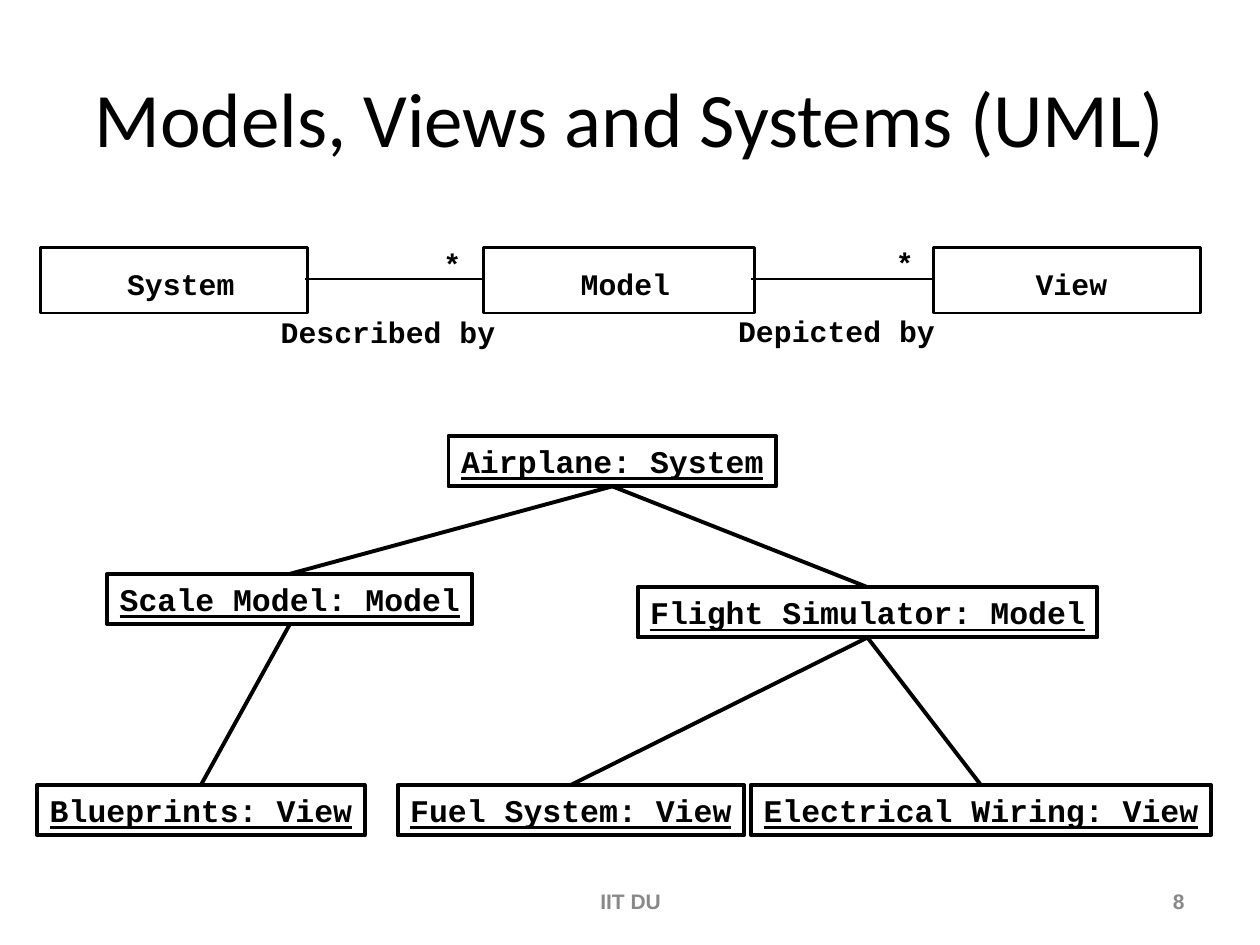
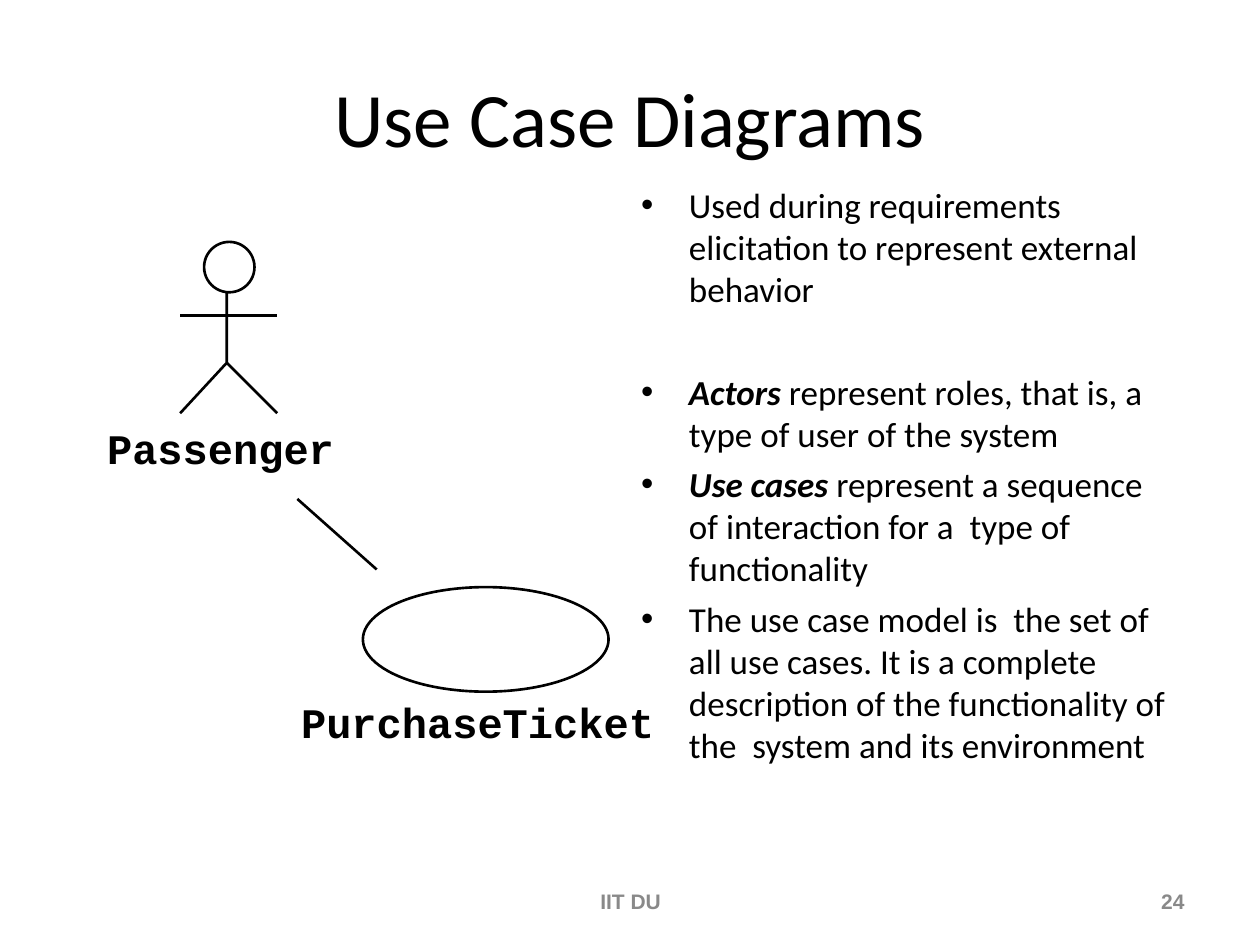
from lxml.etree import SubElement
from pptx import Presentation
from pptx.dml.color import RGBColor
from pptx.enum.shapes import MSO_CONNECTOR, MSO_SHAPE
from pptx.enum.text import MSO_ANCHOR, MSO_AUTO_SIZE, PP_ALIGN
from pptx.oxml.ns import qn
from pptx.util import Inches, Pt

BLACK = RGBColor(0x00, 0x00, 0x00)
WHITE = RGBColor(0xFF, 0xFF, 0xFF)
GREY = RGBColor(0x89, 0x89, 0x89)
TITLE_FONT = "Calibri"
CODE_FONT = "Courier New"
FOOTER_FONT = "Arial"

# Square grid: 100 columns by 75 rows
WIDTH, HEIGHT = Inches(10), Inches(7.5)
CELL = WIDTH / 100
SLACK = 0.3  # spare columns on each side that keep a label on one line


def grid(*cells):
    return [round(cell * CELL) for cell in cells]


def code_size(text, size):
    """Columns and rows taken by one line of monospaced text."""
    cells_per_point = Pt(1) / CELL
    return len(text) * size * 0.6 * cells_per_point, size * 1.2 * cells_per_point


def set_font(para, name, size, color=BLACK, bold=False, underline=False):
    font = para.font
    font.name, font.size, font.bold = name, Pt(size), bold
    font.underline = underline
    font.color.rgb = color


# Shared slide parts
def add_page(deck, title, number):
    page = deck.slides.add_slide(deck.slide_layouts[5])
    box = page.shapes.title
    box.left, box.top, box.width, box.height = grid(5, 3, 90, 12.5)
    box.text_frame.text = title
    box.text_frame.vertical_anchor = MSO_ANCHOR.MIDDLE
    para = box.text_frame.paragraphs[0]
    para.alignment = PP_ALIGN.CENTER
    set_font(para, TITLE_FONT, 44)
    add_footer(page, str(number), 71.7, 23.3, PP_ALIGN.RIGHT)
    add_footer(page, "IIT DU", 34.2, 31.7, PP_ALIGN.CENTER)
    return page


def add_footer(page, text, left, width, alignment):
    frame = page.shapes.add_textbox(*grid(left, 69.5, width, 4)).text_frame
    frame.word_wrap = True
    frame.vertical_anchor = MSO_ANCHOR.MIDDLE
    frame.text = text
    para = frame.paragraphs[0]
    para.alignment = alignment
    set_font(para, FOOTER_FONT, 12, GREY, bold=True)


# Diagram elements
def add_outline(shapes, kind, area, weight, fill=None):
    shape = shapes.add_shape(kind, *grid(*area))
    shape.shadow.inherit = False
    if fill is None:
        shape.fill.background()
    else:
        shape.fill.solid()
        shape.fill.fore_color.rgb = fill
    shape.line.color.rgb = BLACK
    shape.line.width = Pt(weight)
    return shape


def add_line(shapes, start, end, weight):
    line = shapes.add_connector(MSO_CONNECTOR.STRAIGHT, *grid(*start, *end))
    line.line.color.rgb = BLACK
    line.line.width = Pt(weight)
    SubElement(line._element.spPr, qn("a:effectLst"))
    return line


def write_code(shape, text, size, underline=False):
    frame = shape.text_frame
    frame.word_wrap = False
    frame.auto_size = MSO_AUTO_SIZE.SHAPE_TO_FIT_TEXT
    frame.text = text
    para = frame.paragraphs[0]
    para.alignment = PP_ALIGN.CENTER
    set_font(para, CODE_FONT, size, bold=True, underline=underline)
    return frame


def add_label(shapes, text, left, top, size):
    width, height = code_size(text, size)
    area = (left - SLACK, top, width + 2 * SLACK, height)
    frame = write_code(shapes.add_textbox(*grid(*area)), text, size)
    frame.margin_left = frame.margin_right = 0
    frame.margin_top = frame.margin_bottom = 0


def add_instance(page, text, left, top):
    width, height = code_size(text, 18)
    area = (left, top, width + 2, height + 1)
    box = add_outline(page.shapes, MSO_SHAPE.RECTANGLE, area, 2.25, WHITE)
    frame = write_code(box, text, 18, underline=True)
    frame.vertical_anchor = MSO_ANCHOR.MIDDLE
    frame.margin_left = frame.margin_right = grid(1 - SLACK)[0]
    return box


def add_actor(page, name):
    shapes = page.shapes.add_group_shape().shapes
    hip, left_foot, right_foot = (18, 28.8), (14.3, 32.8), (22, 32.8)
    outline = shapes.build_freeform(*grid(18, 22))
    outline.add_line_segments([grid(*hip), grid(*left_foot)], close=False)
    body = outline.convert_to_shape()
    body.shadow.inherit = False
    body.fill.background()
    body.line.color.rgb = BLACK
    body.line.width = Pt(1.5)
    add_line(shapes, hip, right_foot, 1.5)
    add_line(shapes, (14.3, 25.05), (22, 25.05), 1.5)
    add_outline(shapes, MSO_SHAPE.OVAL, (16.2, 19.2, 4, 4), 1.5, WHITE)
    add_label(shapes, name, 8.5, 33.5, 24)


def add_use_case(page, name):
    shapes = page.shapes.add_group_shape().shapes
    add_outline(shapes, MSO_SHAPE.OVAL, (28.8, 46.6, 19.5, 8.3), 1.5)
    add_label(shapes, name, 23.9, 55.3, 24)


def add_bullets(page, area, items):
    """Each item is a gap before it in points, an emphasised start and the rest."""
    frame = page.shapes.add_textbox(*grid(*area)).text_frame
    frame.word_wrap = True
    for index, (gap, term, text) in enumerate(items):
        para = frame.paragraphs[0] if index == 0 else frame.add_paragraph()
        para.space_before = Pt(gap)
        properties = para._p.get_or_add_pPr()
        properties.set("marL", str(Inches(0.38)))
        properties.set("indent", str(-Inches(0.38)))
        SubElement(properties, qn("a:buFont"), typeface=FOOTER_FONT)
        SubElement(properties, qn("a:buChar"), char="•")
        set_font(para, TITLE_FONT, 20)
        if term:
            span = para.add_run()
            span.text = term
            span.font.bold = span.font.italic = True
        para.add_run().text = text


# Slides
def build_models_page(deck):
    page = add_page(deck, "Models, Views and Systems (UML)", 8)
    shapes = page.shapes

    # Class diagram
    for name, left, width, text_left in [
        ("System", 3.2, 21.2, 10.1),
        ("Model", 38.4, 21.5, 46.1),
        ("View", 74.1, 21.2, 82.2),
    ]:
        add_outline(shapes, MSO_SHAPE.RECTANGLE, (left, 19.65, width, 5.2), 1.62)
        add_label(shapes, name, text_left, 21.1, 17)
    for name, start, end, name_left, name_top, star_left, star_top in [
        ("Described by", 24.2, 38.4, 22.3, 24.9, 35.2, 19.5),
        ("Depicted by", 59.6, 74.1, 58.6, 24.8, 71.1, 19.4),
    ]:
        add_line(shapes, (start, 22.15), (end, 22.15), 1.62)
        add_label(shapes, name, name_left, name_top, 17)
        add_label(shapes, "*", star_left, star_top, 17)

    # Instance tree
    airplane = add_instance(page, "Airplane: System", 35.6, 34.6)
    scale_model = add_instance(page, "Scale Model: Model", 8.5, 45.55)
    simulator = add_instance(page, "Flight Simulator: Model", 50.6, 46.6)
    blueprints, fuel, wiring = [
        add_instance(page, text, left, 62.3)
        for text, left in [
            ("Blueprints: View", 2.95),
            ("Fuel System: View", 31.55),
            ("Electrical Wiring: View", 59.6),
        ]
    ]
    for parent, child in [
        (airplane, scale_model),
        (airplane, simulator),
        (scale_model, blueprints),
        (simulator, fuel),
        (simulator, wiring),
    ]:
        line = add_line(shapes, (0, 0), (1, 1), 2.25)
        line.begin_connect(parent, 2)
        line.end_connect(child, 0)


def build_use_case_page(deck):
    page = add_page(deck, "Use Case Diagrams", 24)
    add_bullets(page, (49.9, 14.1, 44.3, 53.8), [
        (5, "", "Used during requirements elicitation to represent external behavior"),
        (34.4, "Actors", " represent roles, that is, a type of user of the system"),
        (5, "Use cases",
         " represent a sequence of interaction for a  type of functionality"),
        (5, "", "The use case model is  the set of all use cases. It is a complete "
         "description of the functionality of the  system and its environment"),
    ])
    add_actor(page, "Passenger")
    add_use_case(page, "PurchaseTicket")
    add_line(page.shapes, (23.6, 39.6), (29.9, 45.2), 1.5)


def main():
    deck = Presentation()
    deck.slide_width, deck.slide_height = WIDTH, HEIGHT
    build_models_page(deck)
    build_use_case_page(deck)
    deck.save("out.pptx")


if __name__ == "__main__":
    main()
